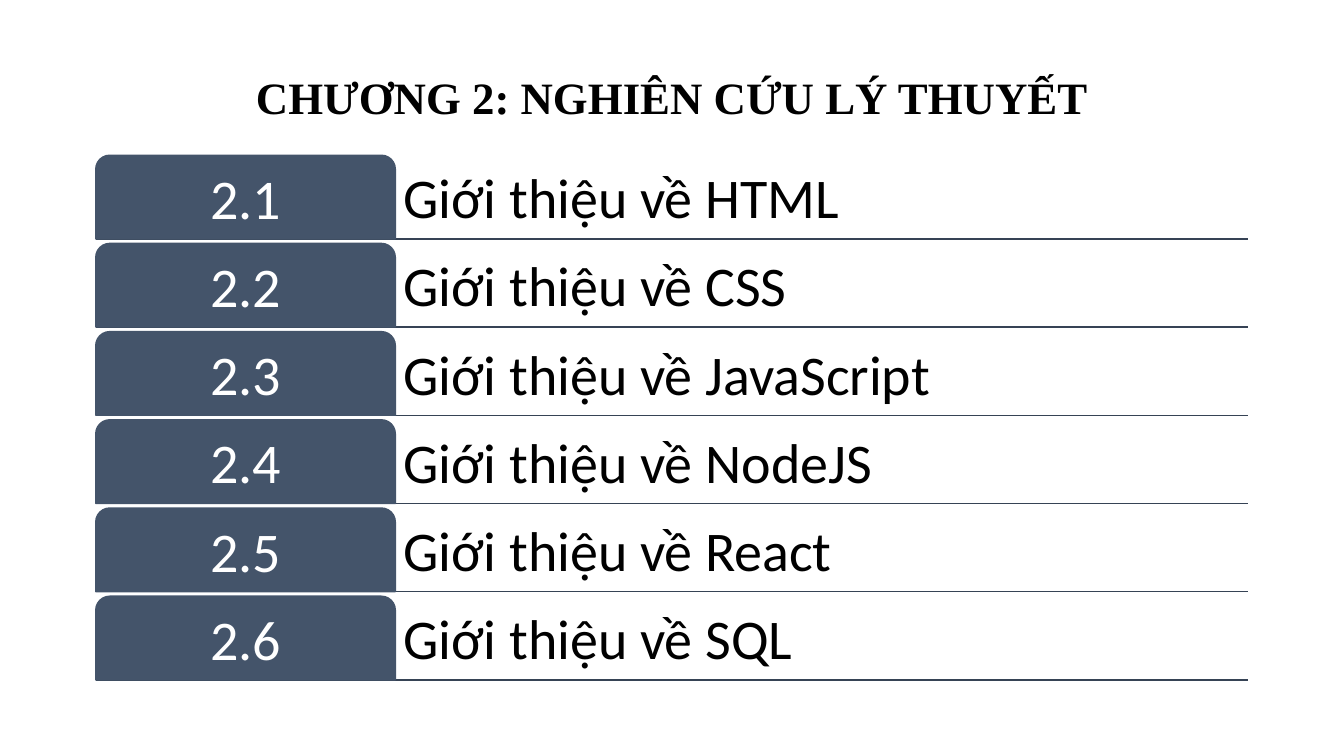
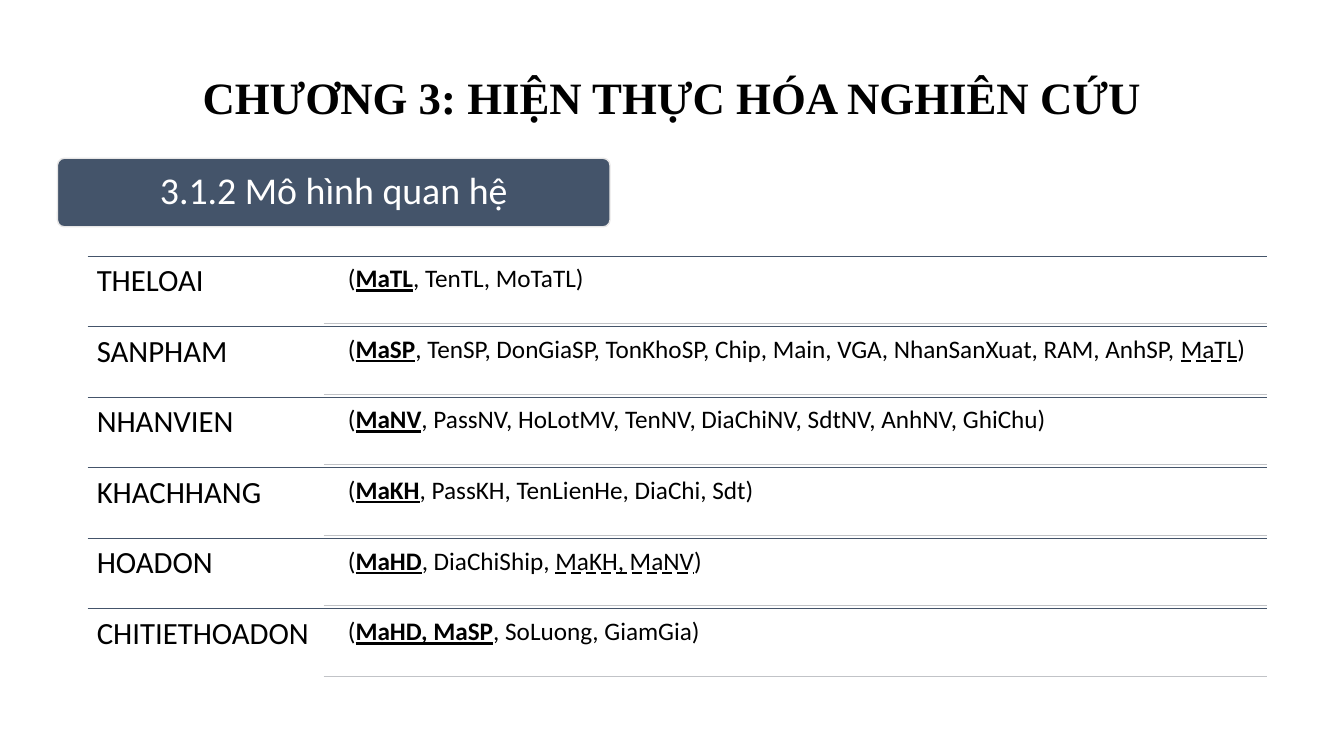
"""Build two chapter slides: a list of topics and a relational model."""
from lxml import etree
from pptx import Presentation
from pptx.dml.color import RGBColor
from pptx.enum.shapes import MSO_CONNECTOR, MSO_SHAPE
from pptx.enum.text import MSO_ANCHOR, MSO_AUTO_SIZE, MSO_UNDERLINE, PP_ALIGN
from pptx.oxml.ns import qn
from pptx.util import Inches, Pt

STRAIGHT = MSO_CONNECTOR.STRAIGHT
TAB, ROUNDED = MSO_SHAPE.ROUND_2_SAME_RECTANGLE, MSO_SHAPE.ROUNDED_RECTANGLE
TOP, MIDDLE, BOTTOM = MSO_ANCHOR.TOP, MSO_ANCHOR.MIDDLE, MSO_ANCHOR.BOTTOM
LEFT, CENTER = PP_ALIGN.LEFT, PP_ALIGN.CENTER
DASH = MSO_UNDERLINE.DASH_LINE

WIDTH, HEIGHT = 13.33, 7.5
TITLE_FONT, BODY_FONT = "Times New Roman", "Calibri"
COLORS = {
    "text": "000000",
    "light": "FFFFFF",
    "slate": "44546A",
    "rule": "364355",
    "hairline": "C1C3C7",
    "edge": "E7E6E6",
}
TOPICS = ["HTML", "CSS", "JavaScript", "NodeJS", "React", "SQL"]
RELATIONS = [
    ("THELOAI", "MaTL", ", TenTL, MoTaTL", ""),
    ("SANPHAM", "MaSP", ", TenSP, DonGiaSP, TonKhoSP, Chip, Main, VGA, "
     "NhanSanXuat, RAM, AnhSP, ", "MaTL"),
    ("NHANVIEN", "MaNV", ", PassNV, HoLotMV, TenNV, DiaChiNV, SdtNV, AnhNV, GhiChu", ""),
    ("KHACHHANG", "MaKH", ", PassKH, TenLienHe, DiaChi, Sdt", ""),
    ("HOADON", "MaHD", ", DiaChiShip, ", "MaKH, MaNV"),
    ("CHITIETHOADON", "MaHD, MaSP", ", SoLuong, GiamGia", ""),
]


def rgb(name):
    return RGBColor.from_string(COLORS[name])


def write(sp, runs, size, color="text", font=BODY_FONT, align=LEFT, anchor=TOP, inset=None):
    """Fill a shape with one paragraph of (text, bold, underline) runs."""
    tf = sp.text_frame
    tf.word_wrap = True
    tf.auto_size = MSO_AUTO_SIZE.NONE
    tf.vertical_anchor = anchor
    if inset is not None:
        tf.margin_left = tf.margin_top = tf.margin_right = tf.margin_bottom = Inches(inset)
    p = tf.paragraphs[0]
    p.alignment = align
    p.line_spacing = 0.9
    p.font.size, p.font.name = Pt(size), font
    p.font.color.rgb = rgb(color)
    for text, bold, underline in runs:
        r = p.add_run()
        r.text = text
        if bold:
            r.font.bold = True
        if underline:
            r.font.underline = underline


def plain(text):
    return [(text, False, None)]


def add_label(slide, box, runs, size, inset, anchor=TOP):
    sp = slide.shapes.add_textbox(*map(Inches, box))
    write(sp, runs, size, anchor=anchor, inset=inset)


def add_block(slide, kind, box, radius, text, size, inset, edge):
    sp = slide.shapes.add_shape(kind, *map(Inches, box))
    sp.adjustments[0] = radius
    sp.shadow.inherit = False
    sp.fill.solid()
    sp.fill.fore_color.rgb = rgb("slate")
    sp.line.color.rgb = rgb(edge)
    sp.line.width = Pt(1)
    write(sp, plain(text), size, "light", align=CENTER, anchor=MIDDLE, inset=inset)
    return sp


def add_rule(slide, left, right, y, color, weight, shadow=False):
    """Draw a horizontal line, with a soft shadow below it on request."""
    line = slide.shapes.add_connector(STRAIGHT, *map(Inches, (left, y, right, y)))
    line.line.color.rgb = rgb(color)
    line.line.width = Pt(weight)
    effects = etree.SubElement(line._element.spPr, qn("a:effectLst"))
    if shadow:
        outer = etree.SubElement(effects, qn("a:outerShdw"), blurRad=str(Pt(4.5)),
                                 dist=str(Pt(1.5)), dir="5400000", rotWithShape="0")
        black = etree.SubElement(outer, qn("a:srgbClr"), val=COLORS["text"])
        etree.SubElement(black, qn("a:alpha"), val="63000")


def add_chapter(prs, title):
    slide = prs.slides.add_slide(prs.slide_layouts[5])
    sp = slide.shapes.title
    sp.left, sp.top = Inches(WIDTH / 8), Inches(0.76)
    sp.width, sp.height = Inches(WIDTH * 3 / 4), Inches(0.52)
    write(sp, [(title, True, None)], 32, font=TITLE_FONT, align=CENTER, anchor=BOTTOM)
    return slide


def add_topics(slide, topics):
    left, right, top, pitch, height = 0.95, 12.38, 1.54, 0.875, 0.83
    tab = (right - left) * 0.26
    for i, topic in enumerate(topics):
        y = top + i * pitch
        add_rule(slide, left, right, y + height, "rule", 1)
        add_label(slide, (left + tab, y, right - left - tab, height),
                  plain(f"Giới thiệu về {topic}"), 40, 0.08, BOTTOM)
        sp = add_block(slide, TAB, (left, y, tab, height), 0.167,
                       f"2.{i + 1}", 40, 0.08, "slate")
        sp.text_frame.margin_top = Inches(0.12)


def add_relations(slide, relations):
    left, right, top, pitch = 0.87, 12.57, 2.54, 0.7
    name_width = (right - left) / 5
    split, indent, gap = left + name_width, 0.17, 0.03
    for i, (name, primary, attributes, foreign) in enumerate(relations):
        y = top + i * pitch
        add_rule(slide, left, right, y, "slate", 0.5, shadow=True)
        add_label(slide, (left, y, name_width, pitch), plain(name), 22, 0.09)
        runs = plain("(") + [(primary, True, True)] + plain(attributes)
        if foreign:
            runs.append((foreign, False, DASH))
        add_label(slide, (split + indent, y + gap, right - split - indent, pitch - 2 * gap),
                  runs + plain(")"), 18, 0.07)
        add_rule(slide, split, right, y + pitch - gap, "hairline", 0.5)


def main():
    prs = Presentation()
    prs.slide_width, prs.slide_height = Inches(WIDTH), Inches(HEIGHT)
    add_topics(add_chapter(prs, "CHƯƠNG 2: NGHIÊN CỨU LÝ THUYẾT"), TOPICS)
    slide = add_chapter(prs, "CHƯƠNG 3: HIỆN THỰC HÓA NGHIÊN CỨU")
    add_block(slide, ROUNDED, (0.57, 1.57, 5.48, 0.68), 0.1,
              "3.1.2 Mô hình quan hệ", 27, 0.11, "edge")
    add_relations(slide, RELATIONS)
    prs.save("out.pptx")


if __name__ == "__main__":
    main()
